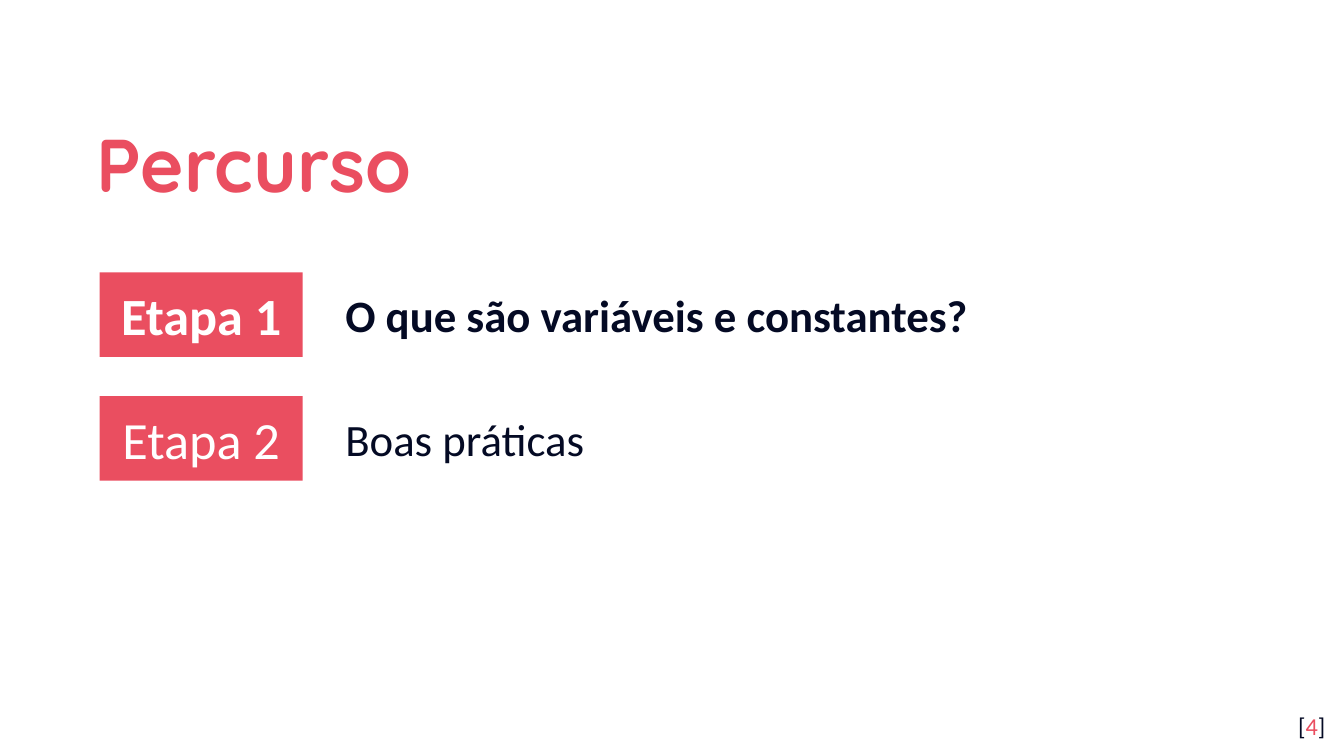
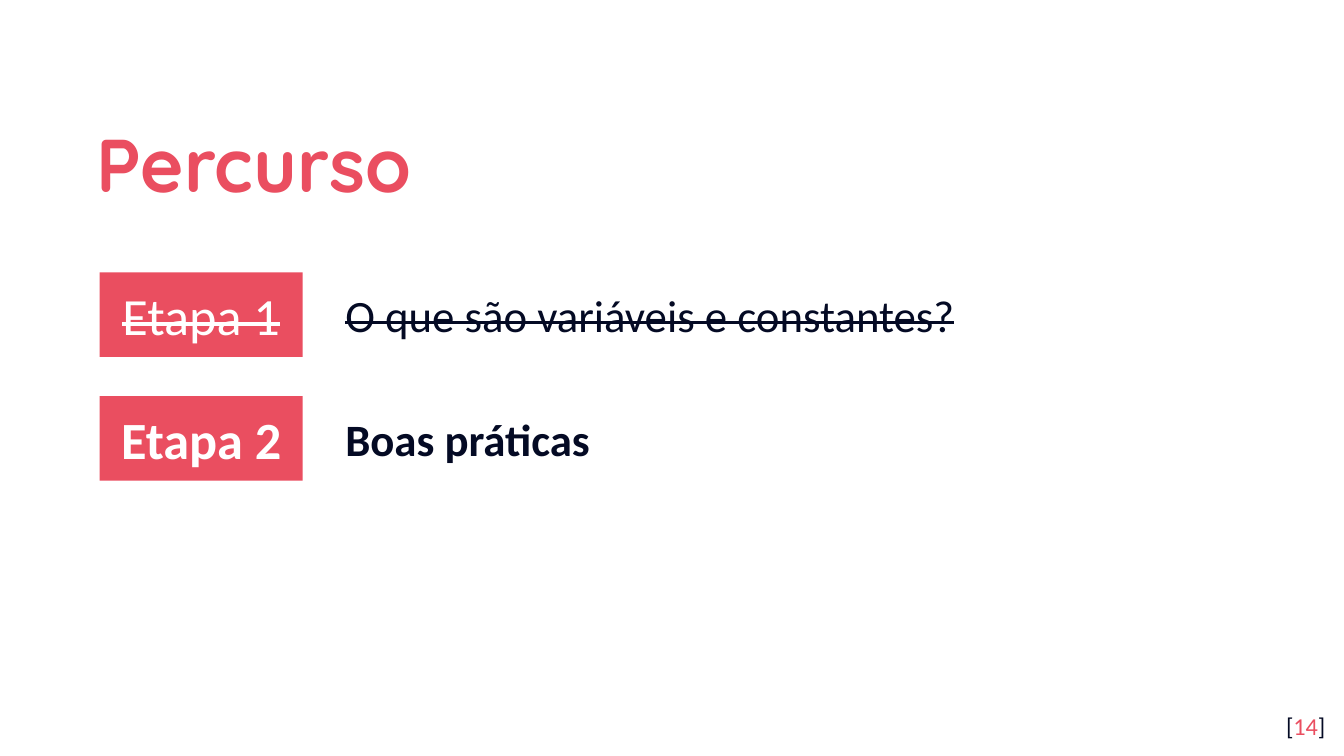
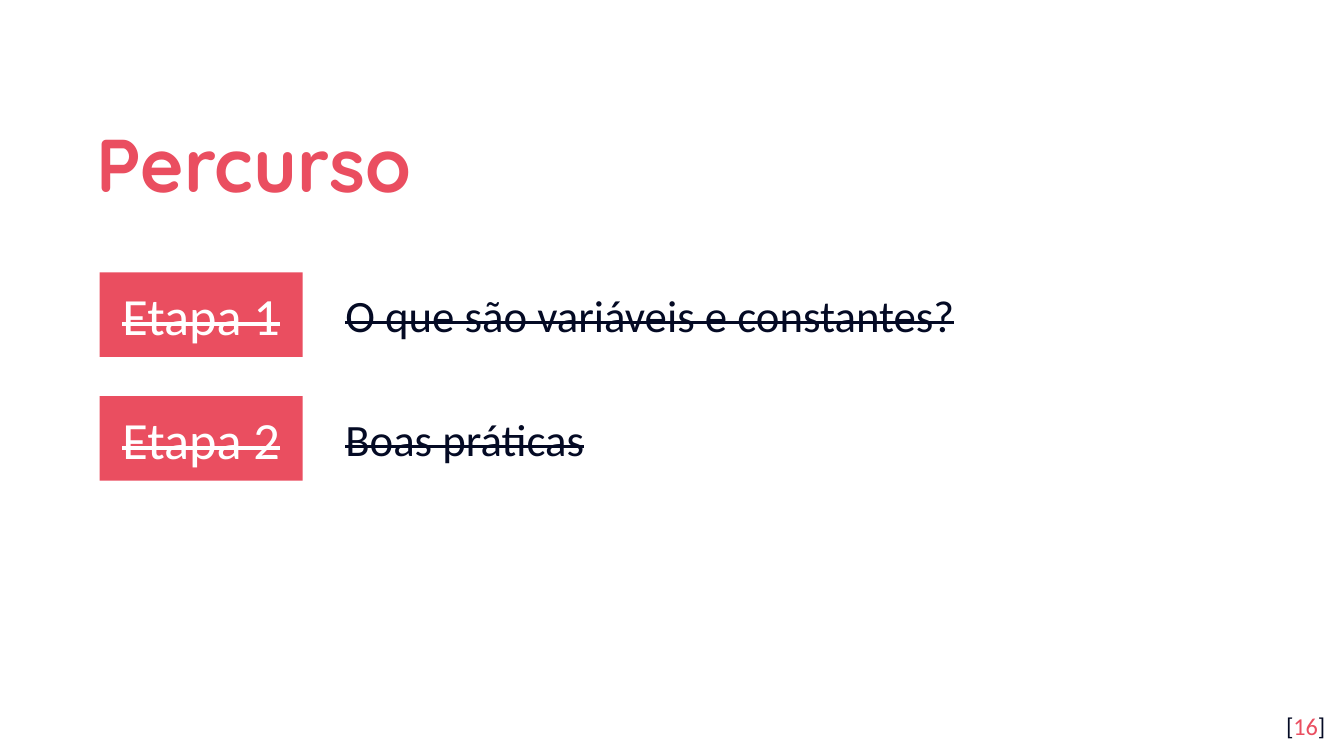
import dataclasses
import enum
import typing

import pptx
import pptx.dml.color
import pptx.enum.shapes
import pptx.enum.text
import pptx.oxml.xmlchemy
import pptx.util
import lxml.etree

Pt = pptx.util.Pt
Align = pptx.enum.text.PP_ALIGN
Anchor = pptx.enum.text.MSO_ANCHOR

COLORS = {"coral": "EA4E60", "navy": "040A24", "white": "FFFFFF"}
FONTS = {"head": "Quicksand", "body": "Calibri"}
STEPS = ["O que são variáveis e constantes?", "Boas práticas"]
TWO_BODY = 3
PITCH = 66.4


class State(enum.Enum):
    NEXT = 0
    NOW = 1
    DONE = 2


@dataclasses.dataclass(frozen=True)
class Box:
    left: float
    top: float
    width: float
    height: float

    def down(self, gap: float) -> "Box":
        return dataclasses.replace(self, top=self.top + gap)

    def spans(self) -> list[pptx.util.Length]:
        return [Pt(v) for v in dataclasses.astuple(self)]


@dataclasses.dataclass(frozen=True)
class Page:
    number: int
    states: tuple[State, ...]


TITLE = Box(44.6, 50.4, 583.2, 66.2)
BADGE = Box(53.4, 145.9, 108.8, 45.3)
TOPIC = Box(177.8, 150.5, 486, 36)
FOOTER = Box(673.9, 373.7, 43.2, 31)

PAGES = [
    Page(4, (State.NOW, State.NEXT)),
    Page(14, (State.DONE, State.NOW)),
    Page(16, (State.DONE, State.DONE)),
]


def tint(name: str) -> pptx.dml.color.RGBColor:
    return pptx.dml.color.RGBColor.from_string(COLORS[name])


def place(shape: typing.Any, box: Box) -> None:
    shape.left, shape.top, shape.width, shape.height = box.spans()


def write(frame: typing.Any, parts: list[tuple[str, str]], *, size: float,
          font: str = "body", align: Align = Align.LEFT,
          anchor: Anchor = Anchor.TOP, inset: float = 7.2,
          state: State = State.NEXT, spacing: float = 1.0) -> None:
    frame.word_wrap = True
    frame.auto_size = pptx.enum.text.MSO_AUTO_SIZE.NONE
    frame.vertical_anchor = anchor
    frame.margin_left = frame.margin_right = Pt(7.2)
    frame.margin_top = frame.margin_bottom = Pt(inset)
    para = frame.paragraphs[0]
    para.alignment = align
    para.line_spacing = spacing
    para.space_before = para.space_after = Pt(0)
    for text, color in parts:
        run = para.add_run()
        run.text = text
        run.font.name = FONTS[font]
        run.font.size = Pt(size)
        run.font.bold = state is State.NOW
        run.font.color.rgb = tint(color)
        if state is State.DONE:
            run.font._element.set("strike", "sngStrike")


def strip(para: typing.Any) -> None:
    props = para._p.get_or_add_pPr()
    props.set("marL", str(Pt(36)))
    props.set("indent", str(Pt(-36)))
    lxml.etree.SubElement(props, pptx.oxml.ns.qn("a:buNone"))


def step(slide: typing.Any, index: int, state: State) -> None:
    gap = index * PITCH
    badge = slide.shapes.add_shape(
        pptx.enum.shapes.MSO_SHAPE.RECTANGLE, *BADGE.down(gap).spans())
    badge.shadow.inherit = False
    badge.fill.solid()
    badge.fill.fore_color.rgb = tint("coral")
    badge.line.fill.background()
    write(badge.text_frame, [(f"Etapa {index + 1}", "white")], size=28,
          align=Align.CENTER, anchor=Anchor.MIDDLE, state=state)
    topic = slide.placeholders[index + 1]
    place(topic, TOPIC.down(gap))
    write(topic.text_frame, [(STEPS[index], "navy")], size=24,
          inset=3.6, state=state)
    strip(topic.text_frame.paragraphs[0])


def draw(deck: typing.Any, page: Page) -> None:
    slide = deck.slides.add_slide(deck.slide_layouts[TWO_BODY])
    title = slide.shapes.title
    place(title, TITLE)
    write(title.text_frame, [("Percurso", "coral")], size=40, font="head",
          anchor=Anchor.MIDDLE, state=State.NOW, spacing=1.15)
    for index, state in enumerate(page.states):
        step(slide, index, state)
    footer = slide.shapes.add_textbox(*FOOTER.spans())
    write(footer.text_frame,
          [("[", "navy"), (str(page.number), "coral"), ("]", "navy")],
          size=13, align=Align.RIGHT)


def main() -> None:
    deck = pptx.Presentation()
    deck.slide_width, deck.slide_height = Pt(720), Pt(405)
    for page in PAGES:
        draw(deck, page)
    deck.save("out.pptx")


if __name__ == "__main__":
    main()
